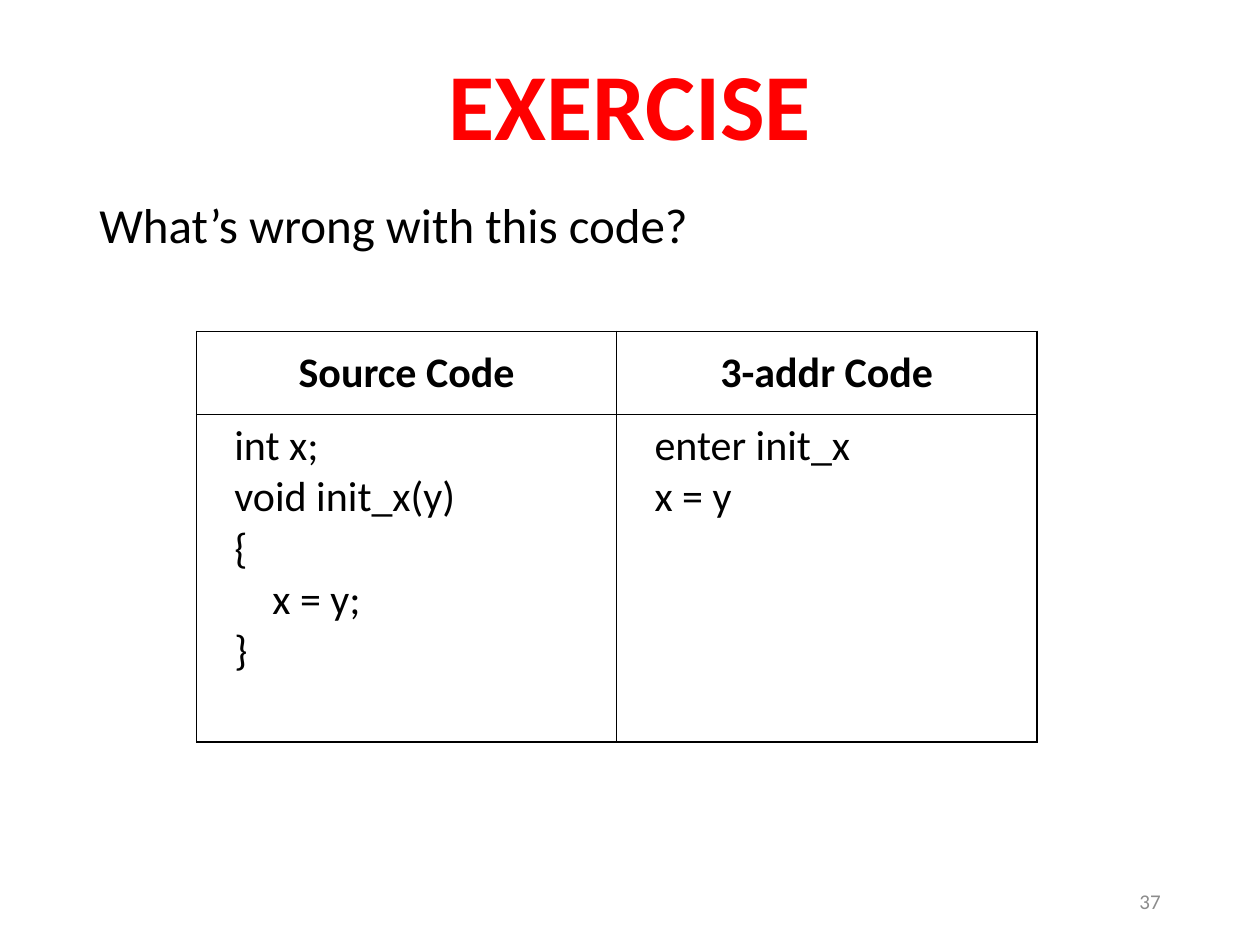
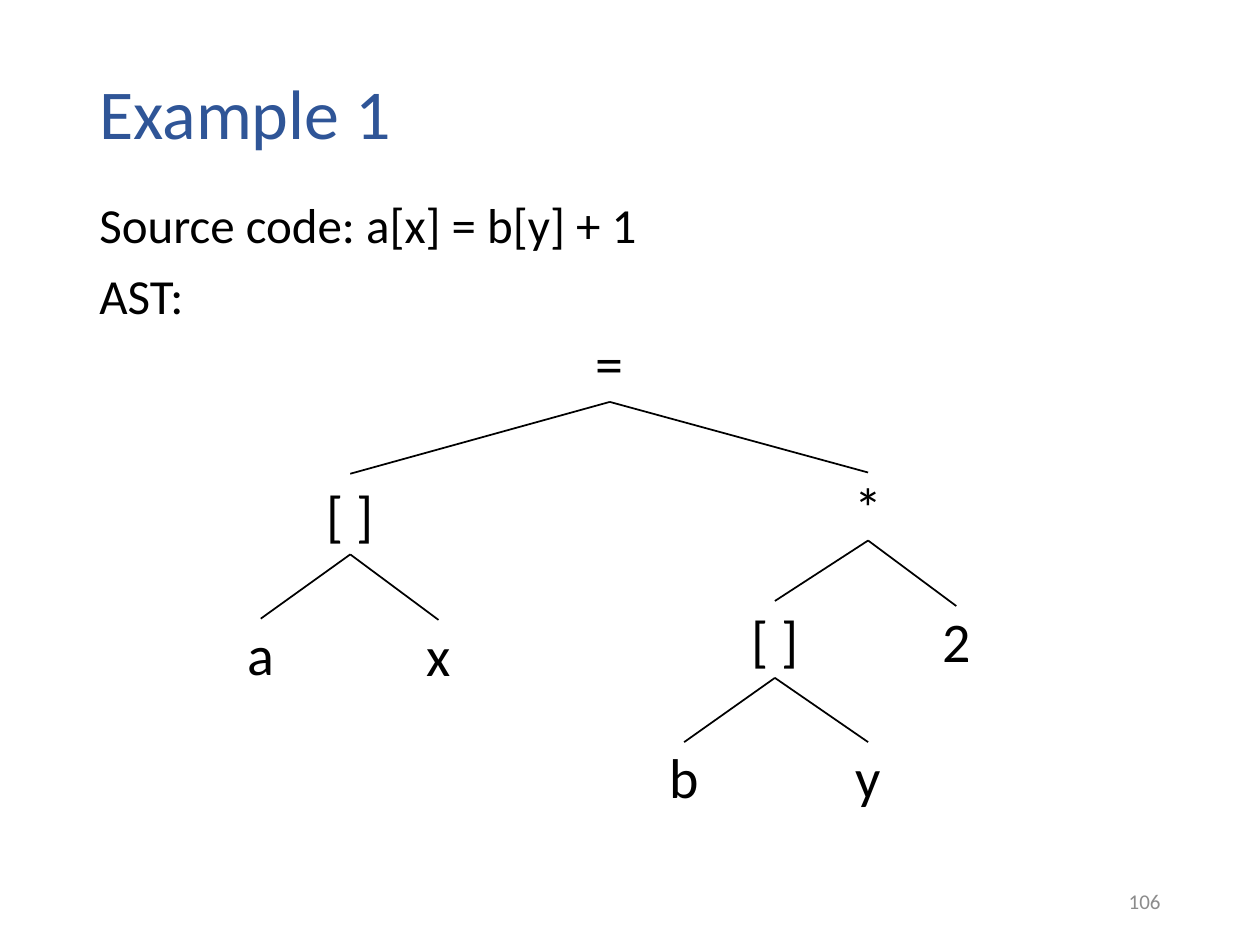
from dataclasses import dataclass

from lxml.etree import SubElement
from pptx import Presentation
from pptx.dml.color import RGBColor
from pptx.enum.shapes import MSO_CONNECTOR
from pptx.enum.text import MSO_ANCHOR, PP_ALIGN
from pptx.oxml import parse_xml
from pptx.oxml.ns import nsdecls, qn
from pptx.util import Inches, Pt


@dataclass(frozen=True)
class Theme:
    font: str = "Calibri"
    ink: str = "000000"
    paper: str = "FFFFFF"
    alert: str = "FF0000"
    heading: str = "2F5597"
    muted: str = "8C8C8C"
    exercise_size: int = 54
    title_size: int = 40
    node_size: int = 32
    body_size: int = 28
    code_size: int = 24
    number_size: int = 12
    line_width: int = 1


THEME = Theme()
COLUMNS, ROWS = 100, 75
SLIDE_WIDTH, SLIDE_HEIGHT = Inches(10), Inches(7.5)
MARGIN, CONTENT_WIDTH = 6.9, 86.2
LEAF_WIDTH, LEAF_HEIGHT = 3.6, 5.4
BRANCH_WIDTH, BRANCH_HEIGHT = 5.8, 6.4
BOTTOM, TOP = 2, 0

BODY_LINE = {"line_spacing": 0.9}
CENTRED = {"alignment": PP_ALIGN.CENTER}
MIDDLE = {"vertical_anchor": MSO_ANCHOR.MIDDLE}
NODE_FRAME = MIDDLE | dict.fromkeys(
    ("margin_left", "margin_right", "margin_top", "margin_bottom"), 0
)

TREE_NODES = {
    "assign": ("=", 48.4, 25.5, BRANCH_WIDTH, BRANCH_HEIGHT),
    "target": ("[ ]", 27.8, 37.6, BRANCH_WIDTH, BRANCH_HEIGHT),
    "times": ("*", 68.9, 37.5, LEAF_WIDTH, LEAF_HEIGHT),
    "a": ("a", 20.7, 49.1, LEAF_WIDTH, LEAF_HEIGHT),
    "x": ("x", 34.8, 49.2, LEAF_WIDTH, LEAF_HEIGHT),
    "operand": ("[ ]", 61.5, 47.7, BRANCH_WIDTH, 6.1),
    "two": ("2", 75.9, 48.1, LEAF_WIDTH, LEAF_HEIGHT),
    "b": ("b", 54.3, 58.9, LEAF_WIDTH, LEAF_HEIGHT),
    "y": ("y", 68.9, 58.9, LEAF_WIDTH, LEAF_HEIGHT),
}
TREE_BRANCHES = {
    "assign": ("target", "times"),
    "target": ("a", "x"),
    "times": ("operand", "two"),
    "operand": ("b", "y"),
}
CODE_COLUMNS = {
    "Source Code": ["int x;", "void init_x(y)", "{", "    x = y;", "}"],
    "3-addr Code": ["enter init_x", "x = y"],
}


def across(columns):
    return round(SLIDE_WIDTH * columns / COLUMNS)


def down(rows):
    return round(SLIDE_HEIGHT * rows / ROWS)


def apply(target, values):
    for attribute, value in values.items():
        setattr(target, attribute, value)


def write(frame, lines, size, colour=THEME.ink, bold=False, layout=None, gap=0):
    for index, line in enumerate(lines):
        paragraph = frame.paragraphs[0] if index == 0 else frame.add_paragraph()
        apply(paragraph, layout or {})
        if index and gap:
            paragraph.space_before = Pt(gap)
        run = paragraph.add_run()
        run.text = line
        apply(run.font, {"name": THEME.font, "size": Pt(size), "bold": bold})
        run.font.color.rgb = RGBColor.from_string(colour)


def add_text(slide, area, lines, size, frame_format=None, **style):
    left, top, width, height = area
    box = slide.shapes.add_textbox(
        across(left), down(top), across(width), down(height)
    )
    apply(box.text_frame, {"word_wrap": True} | (frame_format or {}))
    write(box.text_frame, lines, size, **style)
    return box


def add_title(slide, title, height, size, colour, bold=False, layout=None):
    add_text(slide, (MARGIN, 4, CONTENT_WIDTH, height), [title], size, MIDDLE,
             colour=colour, bold=bold, layout=BODY_LINE | (layout or {}))


def add_body(slide, lines, height):
    add_text(slide, (MARGIN, 15.5, CONTENT_WIDTH, height), lines,
             THEME.body_size, layout=BODY_LINE, gap=10)


def add_slide_number(slide, number):
    add_text(slide, (70.6, 69.5, 22.5, 4), [str(number)], THEME.number_size,
             MIDDLE, colour=THEME.muted, layout={"alignment": PP_ALIGN.RIGHT})


def border_cell(cell):
    properties = cell._tc.get_or_add_tcPr()
    for index, side in enumerate(("lnL", "lnR", "lnT", "lnB")):
        border = parse_xml(
            f'<a:{side} {nsdecls("a")} w="{Pt(THEME.line_width)}">'
            f'<a:solidFill><a:srgbClr val="{THEME.ink}"/></a:solidFill></a:{side}>'
        )
        properties.insert(index, border)


def add_code_table(slide, code_columns):
    row_heights = (6.6, 26)
    table = slide.shapes.add_table(
        len(row_heights), len(code_columns), across(15.6), down(26.3),
        across(66.7), down(sum(row_heights)),
    ).table
    apply(table, {"first_row": False, "horz_banding": False})
    for row, height in zip(table.rows, row_heights):
        row.height = down(height)
    for index, (heading, code) in enumerate(code_columns.items()):
        header, listing = table.cell(0, index), table.cell(1, index)
        header.vertical_anchor = MSO_ANCHOR.MIDDLE
        listing.margin_left = across(3)
        write(header.text_frame, [heading], THEME.code_size, bold=True, layout=CENTRED)
        write(listing.text_frame, code, THEME.code_size)
        for cell in (header, listing):
            cell.fill.solid()
            cell.fill.fore_color.rgb = RGBColor.from_string(THEME.paper)
            border_cell(cell)


def add_node(slide, label, centre, top, width, height):
    return add_text(slide, (centre - width / 2, top, width, height), [label],
                    THEME.node_size, NODE_FRAME, layout=CENTRED)


def add_branch(slide, parent, child):
    branch = slide.shapes.add_connector(MSO_CONNECTOR.STRAIGHT, 0, 0, 0, 0)
    branch.begin_connect(parent, BOTTOM)
    branch.end_connect(child, TOP)
    branch.line.width = Pt(THEME.line_width)
    branch.line.color.rgb = RGBColor.from_string(THEME.ink)
    SubElement(branch._element.spPr, qn("a:effectLst"))


def add_tree(slide, nodes, branches):
    placed = {key: add_node(slide, *node) for key, node in nodes.items()}
    for parent, children in branches.items():
        for child in children:
            add_branch(slide, placed[parent], placed[child])


def build_exercise(slide):
    add_title(slide, "EXERCISE", 9.5, THEME.exercise_size, THEME.alert, True, CENTRED)
    add_body(slide, ["What’s wrong with this code?"], 6.7)
    add_code_table(slide, CODE_COLUMNS)
    add_slide_number(slide, 37)


def build_example(slide):
    add_title(slide, "Example 1", 10.5, THEME.title_size, THEME.heading)
    add_body(slide, ["Source code: a[x] = b[y] + 1", "AST:"], 11.7)
    add_tree(slide, TREE_NODES, TREE_BRANCHES)
    add_slide_number(slide, 106)


def main():
    deck = Presentation()
    apply(deck, {"slide_width": SLIDE_WIDTH, "slide_height": SLIDE_HEIGHT})
    blank = deck.slide_layouts[6]
    for build in (build_exercise, build_example):
        build(deck.slides.add_slide(blank))
    deck.save("out.pptx")


if __name__ == "__main__":
    main()
